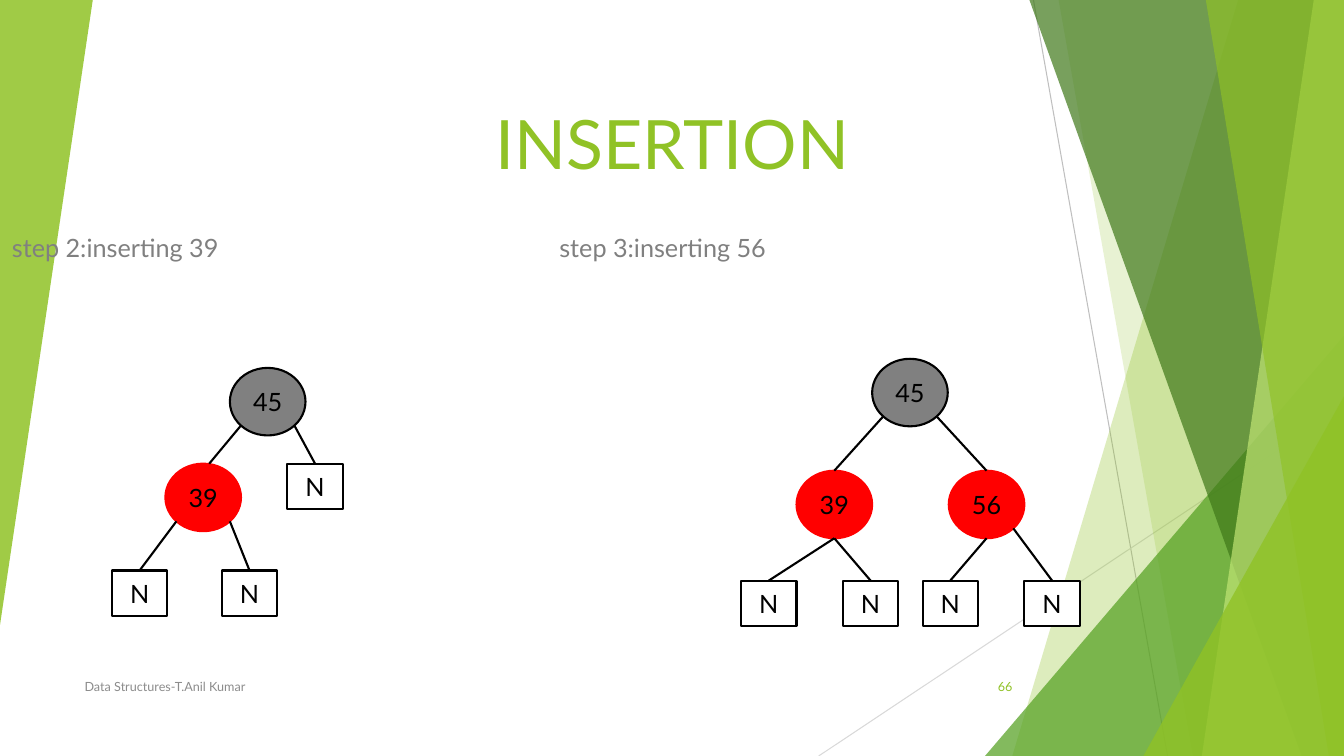
from lxml.etree import SubElement
from pptx import Presentation
from pptx.dml.color import RGBColor
from pptx.enum.shapes import MSO_CONNECTOR as CONN, MSO_SHAPE as SHAPE
from pptx.enum.text import MSO_ANCHOR as ANCHOR, MSO_AUTO_SIZE as FIT, PP_ALIGN as ALIGN
from pptx.oxml.ns import qn
from pptx.util import Inches, Pt

COLORS = {
    "lime": "90C226", "green": "54A021", "forest": "3F7819", "pale": "C0E474",
    "black": "000000", "white": "FFFFFF", "grey": "808080", "red": "FF0000",
    "footer": "8C8C8C", "rule": "BFBFBF", "light_rule": "D9D9D9",
}
FONT = "Lato"
NODE_W, NODE_H = 0.75, 0.67
LEAF_W, LEAF_H = 0.55, 0.45
DIAGONAL = 0.5 ** 0.5


def rgb(name):
    return RGBColor.from_string(COLORS[name])


def write(sp, text, size=18, color="black", align=ALIGN.CENTER,
          anchor=ANCHOR.MIDDLE, margin=None, tab=None):
    tf = sp.text_frame
    tf.auto_size = FIT.NONE
    tf.word_wrap = True
    tf.vertical_anchor = anchor
    if margin is not None:
        tf.margin_left = tf.margin_right = tf.margin_top = tf.margin_bottom = Inches(margin)
    p = tf.paragraphs[0]
    p.alignment = align
    if tab:
        tabs = SubElement(p._p.get_or_add_pPr(), qn("a:tabLst"))
        SubElement(tabs, qn("a:tab"), pos=str(Inches(tab)), algn="l")
    r = p.add_run()
    r.text = text
    r.font.name = FONT
    r.font.size = Pt(size)
    r.font.color.rgb = rgb(color)


class SlideBuilder:
    def __init__(self, s):
        self.s = s

    def title(self, text, *box):
        sp = self.s.shapes.title
        sp.left, sp.top, sp.width, sp.height = map(Inches, box)
        write(sp, text, size=48.6, color="lime", anchor=ANCHOR.BOTTOM)

    def text(self, text, *box, **style):
        write(self.s.shapes.add_textbox(*map(Inches, box)), text, **style)

    def paint(self, sp, fill, alpha=100, line=None):
        sp.shadow.inherit = False
        sp.fill.solid()
        sp.fill.fore_color.rgb = rgb(fill)
        if alpha < 100:
            clr = sp.fill._xPr.find(qn("a:solidFill"))[0]
            SubElement(clr, qn("a:alpha"), val=str(alpha * 1000))
        if line:
            sp.line.color.rgb = rgb(line)
            sp.line.width = Pt(1.5)
        else:
            sp.line.fill.background()

    def band(self, points, fill, alpha):
        start, *rest = [(Inches(x), Inches(y)) for x, y in points]
        fb = self.s.shapes.build_freeform(*start)
        fb.add_line_segments(rest)
        self.paint(fb.convert_to_shape(), fill, alpha)

    def wedge(self, box, fill, alpha, rotation=0):
        sp = self.s.shapes.add_shape(SHAPE.ISOSCELES_TRIANGLE, *map(Inches, box))
        sp.adjustments[0] = 1
        sp.rotation = rotation
        self.paint(sp, fill, alpha)

    def line(self, x1, y1, x2, y2, color="black", width=1.5):
        c = self.s.shapes.add_connector(CONN.STRAIGHT, *map(Inches, (x1, y1, x2, y2)))
        c.line.color.rgb = rgb(color)
        c.line.width = Pt(width)
        SubElement(c._element.spPr, qn("a:effectLst"))
        return c

    def node(self, x, y, text, fill="red", line="red"):
        sp = self.s.shapes.add_shape(SHAPE.OVAL, *map(Inches, (x, y, NODE_W, NODE_H)))
        self.paint(sp, fill, line=line)
        write(sp, text, margin=0)
        return sp

    def root(self, x, y, text):
        return self.node(x, y, text, fill="grey", line="black")

    def leaf(self, x, y):
        sp = self.s.shapes.add_shape(SHAPE.RECTANGLE, *map(Inches, (x, y, LEAF_W, LEAF_H)))
        self.paint(sp, "white", line="black")
        write(sp, "N", margin=0)
        return sp

    def link(self, parent, child, side, shift=0):
        reach = DIAGONAL if side else 1
        x = parent.left.inches + NODE_W / 2 * (1 + side * reach)
        y = parent.top.inches + NODE_H / 2 * (1 + reach)
        end_x = child.left.inches + child.width.inches / 2 + shift
        c = self.line(x, y, end_x, child.top.inches)
        if not shift:
            c.end_connect(child, 0)


def main():
    prs = Presentation()
    prs.slide_width, prs.slide_height = Inches(13.33), Inches(7.5)
    b = SlideBuilder(prs.slides.add_slide(prs.slide_layouts[5]))

    b.line(10.25, 0, 11.58, 7.5, "rule", 0.75)
    b.line(13.33, 4.03, 8.12, 7.5, "light_rule", 0.75)

    def edge_band(top_x, bottom_x, fill, alpha):
        b.band([(top_x, 0), (13.33, 0), (13.33, 7.5), (bottom_x, 7.5)], fill, alpha)

    edge_band(12.28, 10.04, "lime", 30)
    edge_band(10.5, 11.83, "lime", 20)
    b.wedge((9.77, 3.33, 3.56, 4.17), "green", 72)
    edge_band(10.21, 12.91, "forest", 70)
    edge_band(13.03, 11.92, "pale", 70)
    edge_band(11.96, 13.18, "lime", 65)
    b.wedge((11.34, 3.93, 1.99, 3.57), "lime", 80)
    b.wedge((0, 0, 0.92, 6.2), "lime", 85, rotation=180)

    b.title("INSERTION", 1.67, 0.88, 10, 0.99)
    b.text("step 2:inserting 39\tstep 3:inserting 56", 0.02, 2.26, 10.83, 0.59,
           color="grey", align=ALIGN.LEFT, anchor=ANCHOR.TOP, tab=5.43)
    b.text("Data Structures-T.Anil Kumar", 0.74, 6.61, 6.89, 0.4,
           size=9, color="footer", align=ALIGN.LEFT)
    b.text("66", 9.39, 6.61, 0.75, 0.4, size=9, color="lime", align=ALIGN.RIGHT)

    root = b.root(2.28, 3.65, "45")
    left = b.node(1.64, 4.6, "39")
    b.link(root, left, -1, shift=0.06)
    b.link(root, b.leaf(2.85, 4.6), 1)
    for side, x in ((-1, 1.11), (1, 2.2)):
        b.link(left, b.leaf(x, 5.66), side)

    root = b.root(8.65, 3.56, "45")
    for side, x, text, leaves in (
        (-1, 7.9, "39", ((0, 7.35), (0, 8.36))),
        (1, 9.41, "56", ((0, 9.15), (1, 10.16))),
    ):
        child = b.node(x, 4.67, text)
        b.link(root, child, side)
        for leaf_side, leaf_x in leaves:
            b.link(child, b.leaf(leaf_x, 5.76), leaf_side)

    prs.save("out.pptx")


if __name__ == "__main__":
    main()
